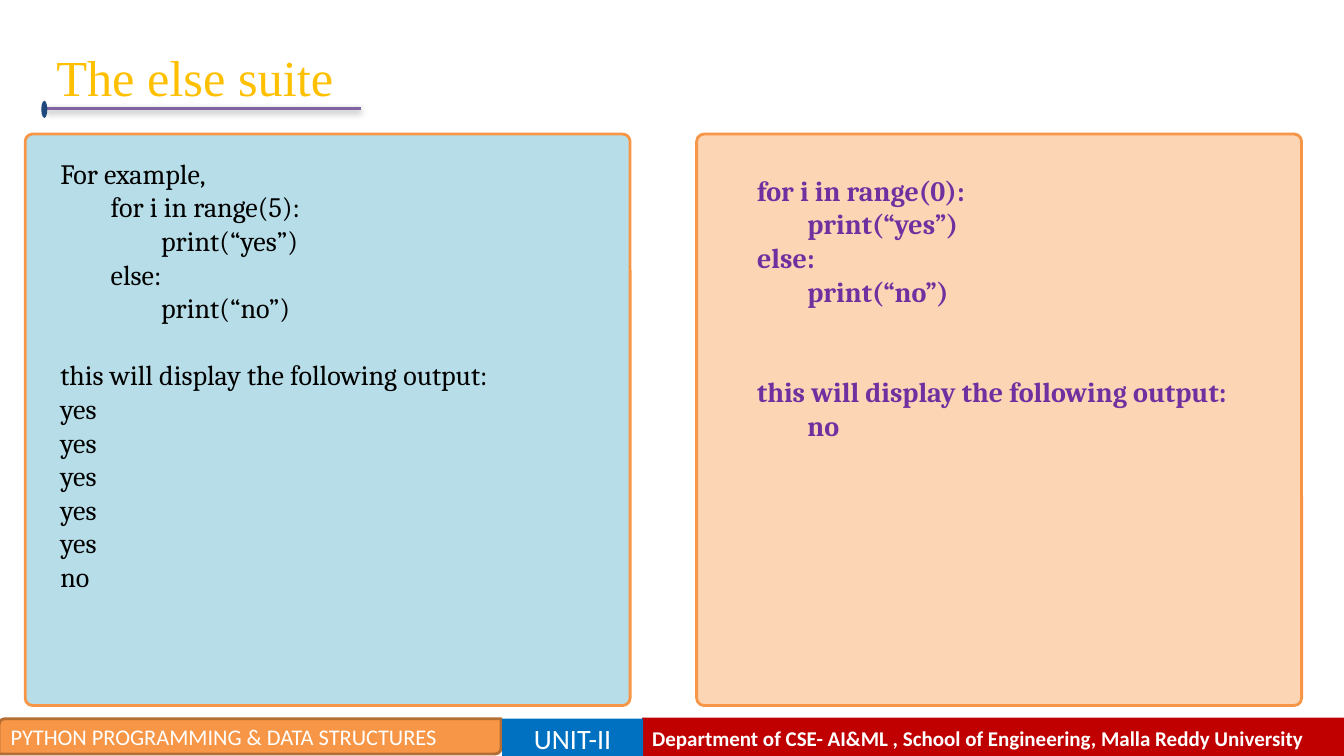
from lxml.etree import SubElement
from pptx import Presentation
from pptx.dml.color import RGBColor
from pptx.enum.shapes import MSO_CONNECTOR, MSO_SHAPE
from pptx.enum.text import MSO_ANCHOR, PP_ALIGN
from pptx.oxml.ns import qn
from pptx.util import Inches, Pt

WHITE = RGBColor(0xFF, 0xFF, 0xFF)
BLACK = RGBColor(0, 0, 0)
RED = RGBColor(0xC0, 0, 0)
ORANGE = RGBColor(0xF7, 0x96, 0x46)
BROWN = RGBColor(0xB4, 0x6D, 0x33)
BLUE = RGBColor(0, 0x70, 0xC0)
NAVY = RGBColor(0x1F, 0x49, 0x7D)
GOLD = RGBColor(0xFF, 0xC0, 0)
VIOLET = RGBColor(0x80, 0x64, 0xA2)
PURPLE = RGBColor(0x70, 0x30, 0xA0)
SKY = RGBColor(0xB7, 0xDE, 0xE8)
PEACH = RGBColor(0xFC, 0xD5, 0xB5)

LOOP_LINES = [
    "For example,",
    "\tfor i in range(5):",
    "\t\tprint(“yes”)",
    "\telse:",
    "\t\tprint(“no”)",
    "this will display the following output:",
    *["yes"] * 5,
    "no",
]
EMPTY_LOOP_LINES = [
    "for i in range(0):",
    "\tprint(“yes”)",
    "else:",
    "\tprint(“no”)",
    "this will display the following output:",
    "\tno",
]


def add_box(s, kind, box, fill, line=None, adj=()):
    """Add a filled preset shape, outlined when a line colour is given."""
    sp = s.shapes.add_shape(kind, *map(Inches, box))
    sp.shadow.inherit = False
    sp.fill.solid()
    sp.fill.fore_color.rgb = fill
    if line is None:
        sp.line.fill.background()
    else:
        sp.line.color.rgb = line
        sp.line.width = Pt(2)
    for i, value in enumerate(adj):
        sp.adjustments[i] = value
    return sp


def write(sp, lines, size, font, color, bold=False, anchor=MSO_ANCHOR.MIDDLE,
          align=PP_ALIGN.LEFT):
    """Fill a shape with one paragraph per line in a single style."""
    tf = sp.text_frame
    tf.word_wrap = True
    tf.vertical_anchor = anchor
    tf.text = "\n".join(lines)
    for p in tf.paragraphs:
        p.alignment = align
        for r in p.runs:
            r.font.size = Pt(size)
            r.font.name = font
            r.font.color.rgb = color
            r.font.bold = bold
    return tf


def add_text(s, box, lines, size, font, color, **style):
    """Add a text box and return its text frame."""
    sp = s.shapes.add_textbox(*map(Inches, box))
    return write(sp, lines, size, font, color, **style)


def add_title(s, title):
    """Add the title with its shadowed underline and end dot."""
    add_text(s, (0.46, 0.42, 5.45, 0.67), [title], 36, "Times New Roman", GOLD)
    rule = s.shapes.add_connector(
        MSO_CONNECTOR.STRAIGHT, *map(Inches, (0.45, 1.08, 3.58, 1.08)))
    rule.line.color.rgb = VIOLET
    rule.line.width = Pt(2)
    effects = SubElement(rule._element.spPr, qn("a:effectLst"))
    shadow = SubElement(effects, qn("a:outerShdw"), blurRad=str(Pt(5)),
                        dist=str(Pt(1.6)), dir="5400000", rotWithShape="0")
    tint = SubElement(shadow, qn("a:srgbClr"), val="000000")
    SubElement(tint, qn("a:alpha"), val="38000")
    add_box(s, MSO_SHAPE.OVAL, (0.41, 1, 0.06, 0.17), NAVY)


def add_panel(s, left, fill, text_box, lines, color, gap, bold=False):
    """Add a rounded panel with code and, after a gap, its output."""
    add_box(s, MSO_SHAPE.ROUNDED_RECTANGLE, (left, 1.33, 6, 5.67), fill,
            ORANGE, [0.013])
    tf = add_text(s, text_box, lines, 20, "Cambria", color, bold=bold,
                  anchor=MSO_ANCHOR.TOP)
    for p in tf.paragraphs:
        if p.text.startswith("this will"):
            p.space_before = Pt(gap)


def add_footer(s):
    """Add the three footer bands."""
    sp = add_box(s, MSO_SHAPE.RECTANGLE, (6.37, 7.12, 6.96, 0.4), RED)
    write(sp, ["Department of CSE- AI&ML , School of Engineering, "
               "Malla Reddy University"], 15, "Calibri", WHITE, bold=True)
    sp = add_box(s, MSO_SHAPE.ROUND_2_DIAG_RECTANGLE,
                 (-0.01, 7.13, 4.98, 0.35), ORANGE, BROWN, [0.167, 0])
    write(sp, ["PYTHON PROGRAMMING & DATA STRUCTURES"], 16, "Calibri", WHITE)
    sp = add_box(s, MSO_SHAPE.RECTANGLE, (4.98, 7.13, 1.4, 0.38), BLUE)
    write(sp, ["UNIT-II"], 20, "Calibri", WHITE, align=PP_ALIGN.CENTER)


def main():
    """Build the slide and save it."""
    prs = Presentation()
    prs.slide_width = Inches(13.33)
    prs.slide_height = Inches(7.5)
    s = prs.slides.add_slide(prs.slide_layouts[6])
    add_footer(s)
    add_title(s, "The else suite")
    add_panel(s, 0.25, SKY, (0.5, 1.5, 4.83, 4.48), LOOP_LINES, BLACK, 24)
    add_panel(s, 6.91, PEACH, (7.41, 1.67, 5.25, 3.1), EMPTY_LOOP_LINES,
              PURPLE, 48, bold=True)
    prs.save("out.pptx")


if __name__ == "__main__":
    main()
